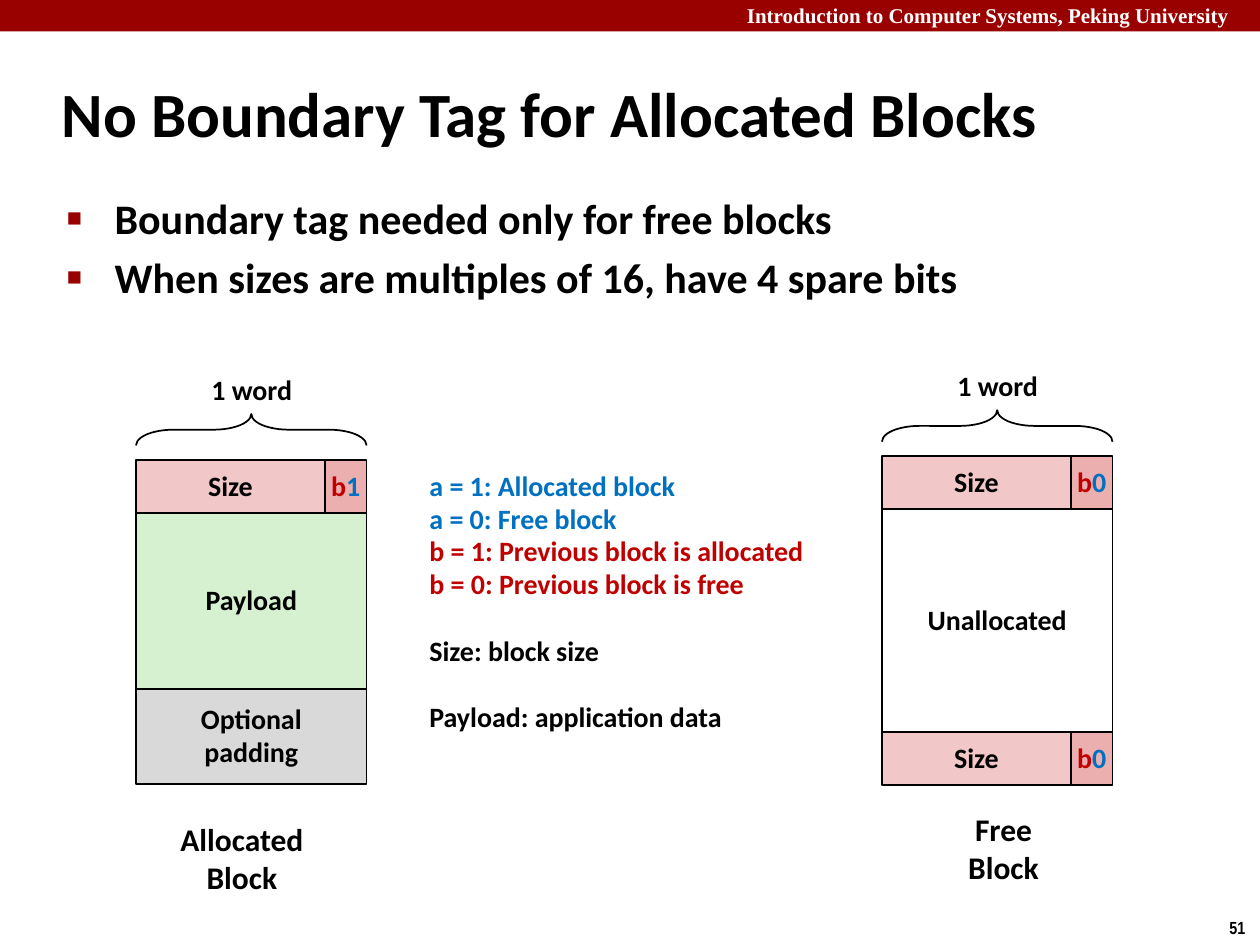
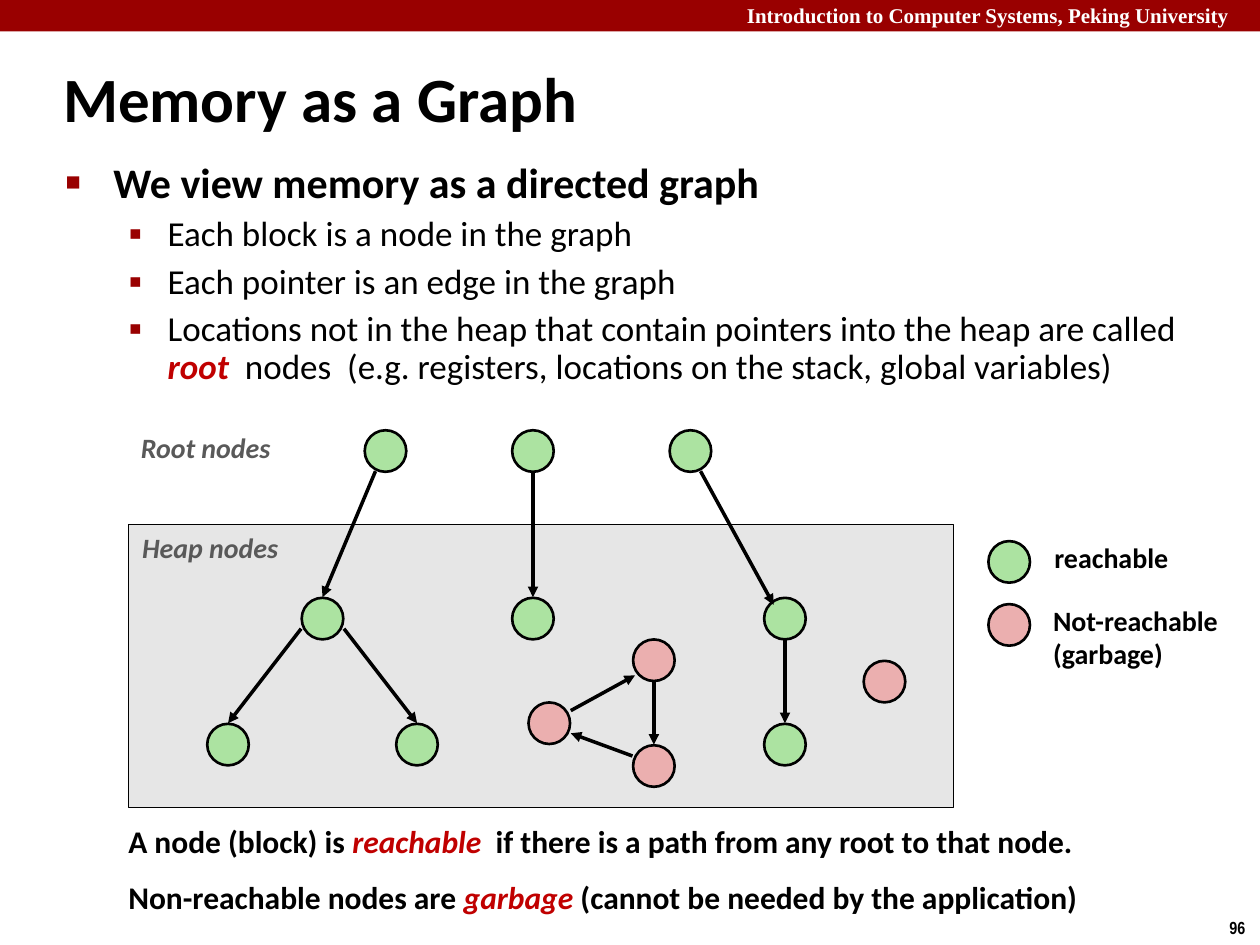
"""Build two lecture slides about block layout and the heap graph."""
from lxml import etree
from pptx import Presentation
from pptx import util as u
from pptx.dml import color as dml
from pptx.enum import shapes, text
from pptx.oxml import ns

BLACK, WHITE = "000000", "FFFFFF"
BAND, RED, BLUE, GRAY = "990000", "C00000", "0070C0", "595959"
HEADER, FLAG, PAYLOAD, PADDING = "F1C7C7", "EBAFAF", "D5F1CF", "D9D9D9"
HEAP, REACHABLE, GARBAGE = "E6E6E6", "ACE3A1", "EBAFAF"
LEFT, CENTER = text.PP_ALIGN.LEFT, text.PP_ALIGN.CENTER
RECTANGLE = shapes.MSO_SHAPE.RECTANGLE
BLOCK_WIDTH, SIZE_WIDTH, HEADER_HEIGHT = 1.83, 1.5, 0.42
NODE_SIZE = 0.33
BULLETS = [("■", 60, 0.38, 0.38), ("▪", 110, 0.81, 0.31)]


def rgb(value):
    """Turn a hex string into a colour."""
    return dml.RGBColor.from_string(value)


def lengths(*values):
    """Turn numbers into inches."""
    return [u.Inches(value) for value in values]


def add_child(parent, tag, **attributes):
    """Append a drawing element with attributes."""
    child = etree.SubElement(parent, ns.qn(tag))
    for name, value in attributes.items():
        child.set(name, str(value))
    return child


def write(paragraph, runs, size=16, color=BLACK, bold=True, italic=False,
          font="Calibri", align=LEFT, spacing=None, before=0):
    """Write a string, or a list of strings and (string, overrides) runs."""
    paragraph.alignment = align
    paragraph.space_before = u.Pt(before)
    if spacing:
        paragraph.line_spacing = spacing
    for part in [runs] if isinstance(runs, str) else runs:
        content, changes = (part, {}) if isinstance(part, str) else part
        look = {"color": color, "bold": bold, "italic": italic, **changes}
        run = paragraph.add_run()
        run.text = content
        run.font.name, run.font.size = font, u.Pt(size)
        run.font.bold, run.font.italic = look["bold"], look["italic"]
        run.font.color.rgb = rgb(look["color"])


def fill_frame(frame, lines, **style):
    """Write one paragraph for each line."""
    for index, line in enumerate(lines):
        paragraph = frame.add_paragraph() if index else frame.paragraphs[0]
        write(paragraph, line, **style)


def add_label(slide, box, lines, wrap=False, **style):
    """Add a text box and return its frame."""
    frame = slide.shapes.add_textbox(*lengths(*box)).text_frame
    frame.word_wrap = wrap
    frame.auto_size = (text.MSO_AUTO_SIZE.NONE if wrap
                       else text.MSO_AUTO_SIZE.SHAPE_TO_FIT_TEXT)
    fill_frame(frame, lines, **style)
    return frame


def add_figure(slide, kind, box, fill=None, line=BLACK, width=1, lines=()):
    """Add a flat preset shape with optional centred text."""
    shape = slide.shapes.add_shape(kind, *lengths(*box))
    shape.shadow.inherit = False
    if fill:
        shape.fill.solid()
        shape.fill.fore_color.rgb = rgb(fill)
    else:
        shape.fill.background()
    if line:
        shape.line.color.rgb = rgb(line)
        shape.line.width = u.Pt(width)
    else:
        shape.line.fill.background()
    shape.text_frame.word_wrap = False
    shape.text_frame.vertical_anchor = text.MSO_ANCHOR.MIDDLE
    fill_frame(shape.text_frame, lines, align=CENTER, spacing=0.98)
    return shape


def add_arrow(slide, start, end):
    """Add a straight arrow between two points."""
    arrow = slide.shapes.add_connector(
        shapes.MSO_CONNECTOR.STRAIGHT, *lengths(*start, *end))
    arrow.line.color.rgb = rgb(BLACK)
    arrow.line.width = u.Pt(2)
    add_child(arrow.line._get_or_add_ln(), "a:tailEnd", type="triangle")
    add_child(arrow._element.spPr, "a:effectLst")


def place(placeholder, box):
    """Move a placeholder and return its frame at a fixed text size."""
    (placeholder.left, placeholder.top,
     placeholder.width, placeholder.height) = lengths(*box)
    frame = placeholder.text_frame
    frame.word_wrap = True
    frame.auto_size = text.MSO_AUTO_SIZE.NONE
    return frame


def add_bullet(paragraph, level):
    """Give a paragraph the square bullet and indent of its level."""
    character, percent, margin, hanging = BULLETS[level]
    paragraph.level = level
    properties = paragraph._p.get_or_add_pPr()
    properties.set("marL", str(u.Inches(margin)))
    properties.set("indent", str(-u.Inches(hanging)))
    bullet_color = add_child(properties, "a:buClr")
    add_child(bullet_color, "a:srgbClr", val=BAND)
    add_child(properties, "a:buSzPct", val=percent * 1000)
    add_child(properties, "a:buFont", typeface="Arial")
    add_child(properties, "a:buChar", char=character)


def add_body(slide, box, items):
    """Fill the body placeholder from (level, runs, format) items."""
    frame = place(slide.placeholders[1], box)
    for index, (level, runs, style) in enumerate(items):
        paragraph = frame.add_paragraph() if index else frame.paragraphs[0]
        write(paragraph, runs, **style)
        add_bullet(paragraph, level)


def add_base(presentation, title, title_box, number, spacing=None):
    """Start a slide with the course band, title and page number."""
    slide = presentation.slides.add_slide(presentation.slide_layouts[1])
    add_figure(slide, RECTANGLE, (0, 0, 10, 0.25), BAND, line=None)
    add_label(slide, (5.83, -0.03, 4.24, 0.3),
              ["Introduction to Computer Systems, Peking University"],
              wrap=True, size=12, font="Times New Roman", color=WHITE)
    add_label(slide, (9.66, 7.23, 0.34, 0.27), [number], size=10,
              font="Arial Narrow")
    frame = place(slide.shapes.title, title_box)
    frame.vertical_anchor = text.MSO_ANCHOR.MIDDLE
    fill_frame(frame, [title], size=36, spacing=spacing)
    return slide


def add_tag(slide, left, top, bit):
    """Draw a size field with its two flag bits."""
    add_figure(slide, RECTANGLE, (left, top, SIZE_WIDTH, HEADER_HEIGHT),
               HEADER, lines=["Size"])
    flags = [("b", {"color": RED}), (bit, {"color": BLUE})]
    add_figure(slide, RECTANGLE,
               (left + SIZE_WIDTH, top, BLOCK_WIDTH - SIZE_WIDTH, HEADER_HEIGHT),
               FLAG, lines=[flags])


def add_block(slide, left, top, bit, sections, footer=False):
    """Draw a memory block: brace, header, sections and optional footer."""
    add_label(slide, (left + 0.5, top - 0.73, 0.85, 0.37), ["1 word"],
              spacing=0.98)
    depth = 0.25
    brace = add_figure(slide, shapes.MSO_SHAPE.RIGHT_BRACE,
                       (left + (BLOCK_WIDTH - depth) / 2,
                        top - 0.24 - BLOCK_WIDTH / 2, depth, BLOCK_WIDTH))
    brace.rotation = 270
    brace.adjustments[0] = 1.19
    add_tag(slide, left, top, bit)
    top += HEADER_HEIGHT
    for height, fill, lines in sections:
        add_figure(slide, RECTANGLE, (left, top, BLOCK_WIDTH, height), fill,
                   lines=lines)
        top += height
    if footer:
        add_tag(slide, left, top, bit)


def add_legend(slide, box):
    """Explain the flag bits and fields."""
    lines = [("a = 1: Allocated block", BLUE, 0),
             ("a = 0: Free block", BLUE, 0),
             ("b = 1: Previous block is allocated", RED, 0),
             ("b = 0: Previous block is free", RED, 0),
             ("Size: block size", BLACK, 19),
             ("Payload: application data", BLACK, 19)]
    frame = add_label(slide, box, [])
    for index, (line, color, before) in enumerate(lines):
        paragraph = frame.add_paragraph() if index else frame.paragraphs[0]
        write(paragraph, line, color=color, before=before, spacing=0.98)


def build_boundary_tags(presentation):
    """Build the slide that compares allocated and free blocks."""
    slide = add_base(presentation, "No Boundary Tag for Allocated Blocks",
                     (0.39, 0.48, 8.3, 0.83), "51")
    style = {"size": 24, "before": 4.8}
    add_body(slide, (0.43, 1.48, 9.23, 0.98), [
        (0, "Boundary tag needed only for free blocks", style),
        (0, "When sizes are multiples of 16, have 4 spare bits", style)])
    add_block(slide, 1.08, 3.65, "1", [
        (1.4, PAYLOAD, ["Payload"]), (0.75, PADDING, ["Optional", "padding"])])
    add_legend(slide, (3.31, 3.68, 3.21, 2.21))
    add_block(slide, 7, 3.62, "0", [(1.77, None, ["Unallocated"])], footer=True)
    add_label(slide, (1.33, 6.46, 1.18, 0.71), ["Allocated", "Block"], size=18,
              align=CENTER)
    add_label(slide, (7.58, 6.38, 0.77, 0.71), ["Free", "Block"], size=18,
              align=CENTER)


def add_graph(slide, left, top, width, height):
    """Draw the heap with its nodes, pointers and key."""
    add_figure(slide, RECTANGLE, (left, top, width, height), HEAP, width=0.5)
    add_label(slide, (left, top - 0.79, 1.26, 0.37), ["Root nodes"],
              color=GRAY, italic=True)
    add_label(slide, (left + 0.01, top, 1.3, 0.37), ["Heap nodes"],
              color=GRAY, italic=True)
    root_row, upper_row, lower_row = -0.58, 0.75, 1.75
    reachable = {
        "root left": (2.04, root_row), "root middle": (3.21, root_row),
        "root right": (4.46, root_row), "tree": (1.54, upper_row),
        "single": (3.21, upper_row), "chain": (5.21, upper_row),
        "left leaf": (0.79, lower_row), "right leaf": (2.29, lower_row),
        "chain end": (5.21, lower_row), "reachable key": (6.99, 0.3)}
    garbage = {
        "cycle top": (4.17, 1.08), "cycle bottom": (4.17, 1.92),
        "cycle left": (3.34, 1.58), "alone": (6, 1.25),
        "garbage key": (6.99, 0.8)}
    for nodes, fill in ((reachable, REACHABLE), (garbage, GARBAGE)):
        for x, y in nodes.values():
            add_figure(slide, shapes.MSO_SHAPE.OVAL,
                       (left + x - NODE_SIZE / 2, top + y - NODE_SIZE / 2,
                        NODE_SIZE, NODE_SIZE), fill, width=1.5)
    above, below = (0, -0.17), (0, 0.17)
    pointers = [
        ("root left", (-0.08, 0.16), "tree", above),
        ("root middle", below, "single", above),
        ("root right", (0.08, 0.16), "chain", (-0.09, -0.11)),
        ("tree", (-0.17, 0.08), "left leaf", above),
        ("tree", (0.17, 0.08), "right leaf", above),
        ("chain", below, "chain end", above),
        ("cycle top", below, "cycle bottom", above),
        ("cycle bottom", (-0.17, -0.08), "cycle left", (0.17, 0.08)),
        ("cycle left", (0.17, -0.1), "cycle top", (-0.15, 0.12))]
    centers = {**reachable, **garbage}
    for source, leave, target, arrive in pointers:
        start, end = [
            (left + centers[name][0] + dx, top + centers[name][1] + dy)
            for name, (dx, dy) in ((source, leave), (target, arrive))]
        add_arrow(slide, start, end)
    add_label(slide, (left + 7.25, top + 0.08, 1.11, 0.37), ["reachable"])
    add_label(slide, (left + 7.24, top + 0.58, 1.53, 0.64),
              ["Not-reachable", "(garbage)"])


def build_memory_graph(presentation):
    """Build the slide that shows memory as a directed graph."""
    slide = add_base(presentation, "Memory as a Graph",
                     (0.4, 0.5, 6.93, 0.63), "96", spacing=0.87)
    term = {"color": RED, "italic": True, "bold": True}
    detail = {"size": 20, "bold": False, "spacing": 0.9, "before": 5.6}
    add_body(slide, (0.42, 1.25, 9.26, 1.69), [
        (0, "We view memory as a directed graph",
         {"size": 24, "spacing": 0.85, "before": 12.5}),
        (1, "Each block is a node in the graph", detail),
        (1, "Each pointer is an edge in the graph", detail),
        (1, ["Locations not in the heap that contain pointers into the heap "
             "are called ", ("root", term),
             "  nodes  (e.g. registers, locations on the stack, "
             "global variables)"], detail)])
    add_graph(slide, 1.02, 4.16, 6.55, 2.25)
    add_label(slide, (0.92, 6.5, 8.1, 0.92), [
        ["A node (block) is ", ("reachable", term),
         "  if there is a path from any root to that node."],
        ["Non-reachable nodes are ", ("garbage ", term),
         "(cannot be needed by the application)"]],
        wrap=True, size=18, spacing=0.95, before=11.2)


def main():
    """Build and save the presentation."""
    presentation = Presentation()
    presentation.slide_width, presentation.slide_height = lengths(10, 7.5)
    build_boundary_tags(presentation)
    build_memory_graph(presentation)
    presentation.save("out.pptx")


if __name__ == "__main__":
    main()
